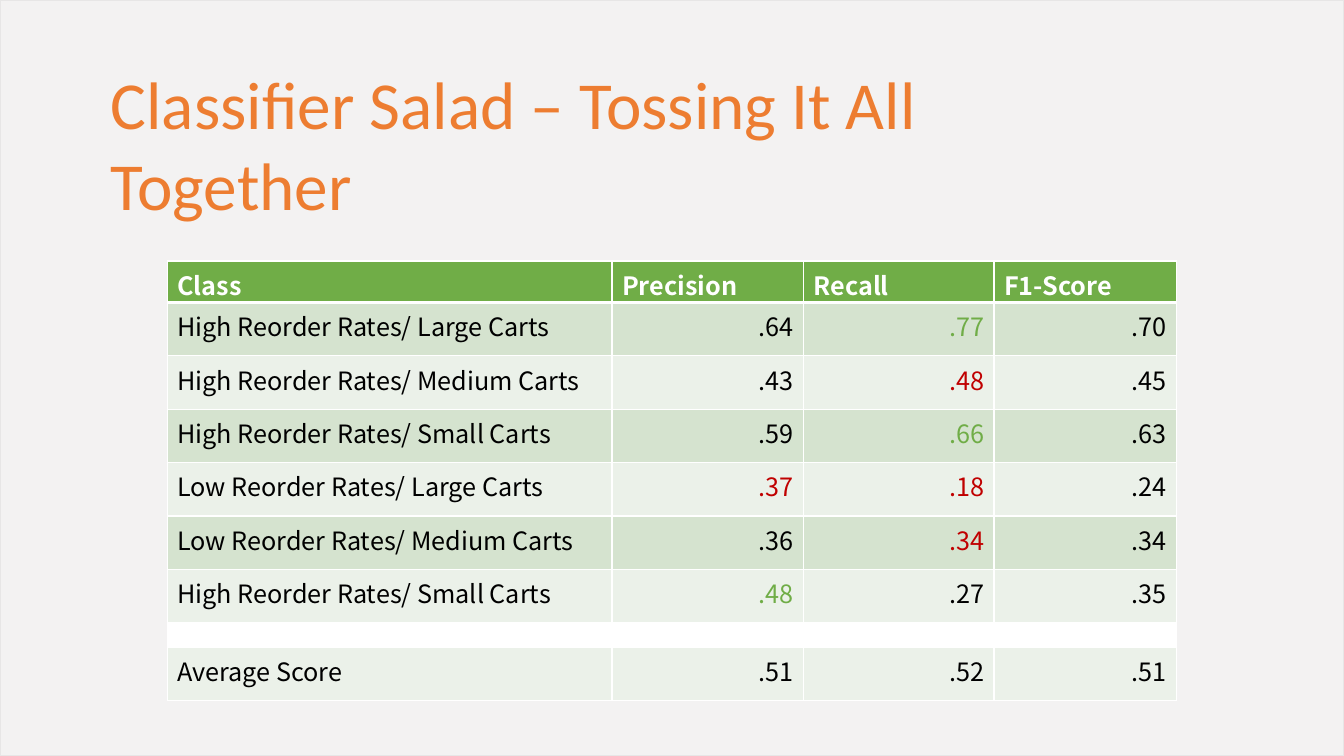
from lxml.etree import SubElement
from pptx import Presentation
from pptx.dml.color import RGBColor
from pptx.enum.shapes import MSO_SHAPE
from pptx.enum.text import PP_ALIGN
from pptx.oxml import parse_xml
from pptx.oxml.ns import nsdecls, qn
from pptx.util import Inches, Pt

GREEN, RED, ORANGE = "70AD47", "C00000", "ED7D31"
WHITE, BLACK, GREY = "FFFFFF", "000000", "E7E6E6"
BANDS = ["D5E3CF", "EBF1E9"]

HEADER = ["Class", "Precision", "Recall", "F1-Score"]
SCORES = [
    ["High Reorder Rates/ Large Carts", ".64", ".77", ".70"],
    ["High Reorder Rates/ Medium Carts", ".43", ".48", ".45"],
    ["High Reorder Rates/ Small Carts", ".59", ".66", ".63"],
    ["Low Reorder Rates/ Large Carts", ".37", ".18", ".24"],
    ["Low Reorder Rates/ Medium Carts", ".36", ".34", ".34"],
    ["High Reorder Rates/ Small Carts", ".48", ".27", ".35"],
]
AVERAGE = ["Average Score", ".51", ".52", ".51"]
# (row, column) of the highlighted scores
HIGHLIGHTS = {(1, 2): GREEN, (3, 2): GREEN, (6, 1): GREEN,
              (2, 2): RED, (4, 1): RED, (4, 2): RED, (5, 2): RED}
COLUMN_WIDTHS = [4.41, 1.9, 1.89, 1.81]
HEADER_HEIGHT, ROW_HEIGHT, SPACER_HEIGHT = 0.41, 0.53, 0.24


def rgb(color):
    return RGBColor.from_string(color)


class SlideBuilder:
    title_font = "Calibri"
    table_font = "Noto Sans CJK SC"

    def __init__(self, slide):
        self.s = slide

    def background(self, color, opacity):
        sp = self.s.shapes.add_shape(MSO_SHAPE.RECTANGLE, 0, 0, Inches(13.33), Inches(7.5))
        sp.shadow.inherit = False
        sp.fill.solid()
        sp.fill.fore_color.rgb = rgb(color)
        srgb = sp.fill._xPr.find(".//" + qn("a:srgbClr"))
        SubElement(srgb, qn("a:alpha"), val=str(opacity * 1000))
        sp.line.color.rgb = rgb(color)
        sp.line.width = Pt(1)

    def style(self, p, font, size, color, bold=False):
        for r in p.runs:
            r.font.name = font
            r.font.size = Pt(size)
            r.font.bold = bold
            r.font.color.rgb = rgb(color)
            SubElement(r.font._element, qn("a:ea"), typeface=font)

    def title(self, text, left, top, width, height):
        tf = self.s.shapes.add_textbox(
            Inches(left), Inches(top), Inches(width), Inches(height)).text_frame
        tf.word_wrap = True
        tf.text = text
        self.style(tf.paragraphs[0], self.title_font, 48, ORANGE)

    def borders(self, cell, bottom):
        """White lines on all sides, with the given bottom width in points."""
        tcPr = cell._tc.get_or_add_tcPr()
        widths = {"lnL": 1, "lnR": 1, "lnT": 1, "lnB": bottom}
        for i, (side, width) in enumerate(widths.items()):
            tcPr.insert(i, parse_xml(
                f'<a:{side} {nsdecls("a")} w="{Pt(width)}"><a:solidFill>'
                f'<a:srgbClr val="{WHITE}"/></a:solidFill></a:{side}>'))

    def cell(self, cell, text, fill, color, bold=False, right=False):
        cell.fill.solid()
        cell.fill.fore_color.rgb = rgb(fill)
        self.borders(cell, 3 if bold else 1)
        cell.text = text
        p = cell.text_frame.paragraphs[0]
        if right:
            p.alignment = PP_ALIGN.RIGHT
        self.style(p, self.table_font, 18, color, bold)
        if bold:
            cell.margin_bottom = 0
        if not text:
            p.font.size = Pt(1)
            cell.margin_top = cell.margin_bottom = 0

    def score_table(self, left, top):
        rows = [HEADER, *SCORES, [""] * len(HEADER), AVERAGE]
        spacer = len(rows) - 2
        heights = [HEADER_HEIGHT] + [ROW_HEIGHT] * (len(rows) - 1)
        heights[spacer] = SPACER_HEIGHT
        table = self.s.shapes.add_table(
            len(rows), len(HEADER), Inches(left), Inches(top),
            Inches(sum(COLUMN_WIDTHS)), Inches(sum(heights))).table
        table.first_row = table.horz_banding = False
        for column, width in zip(table.columns, COLUMN_WIDTHS):
            column.width = Inches(width)
        for i, (row, height) in enumerate(zip(rows, heights)):
            table.rows[i].height = Inches(height)
            head = i == 0
            fill = GREEN if head else WHITE if i == spacer else BANDS[(i - 1) % 2]
            for j, text in enumerate(row):
                color = WHITE if head else HIGHLIGHTS.get((i, j), BLACK)
                self.cell(table.cell(i, j), text, fill, color,
                          bold=head, right=not head and j > 0)


def main():
    prs = Presentation()
    prs.slide_width, prs.slide_height = Inches(13.33), Inches(7.5)
    builder = SlideBuilder(prs.slides.add_slide(prs.slide_layouts[6]))
    builder.background(GREY, 49)
    builder.title("Classifier Salad – Tossing It All Together", 1, 0.57, 9.24, 2.32)
    builder.score_table(1.66, 2.59)
    prs.save("out.pptx")


if __name__ == "__main__":
    main()
